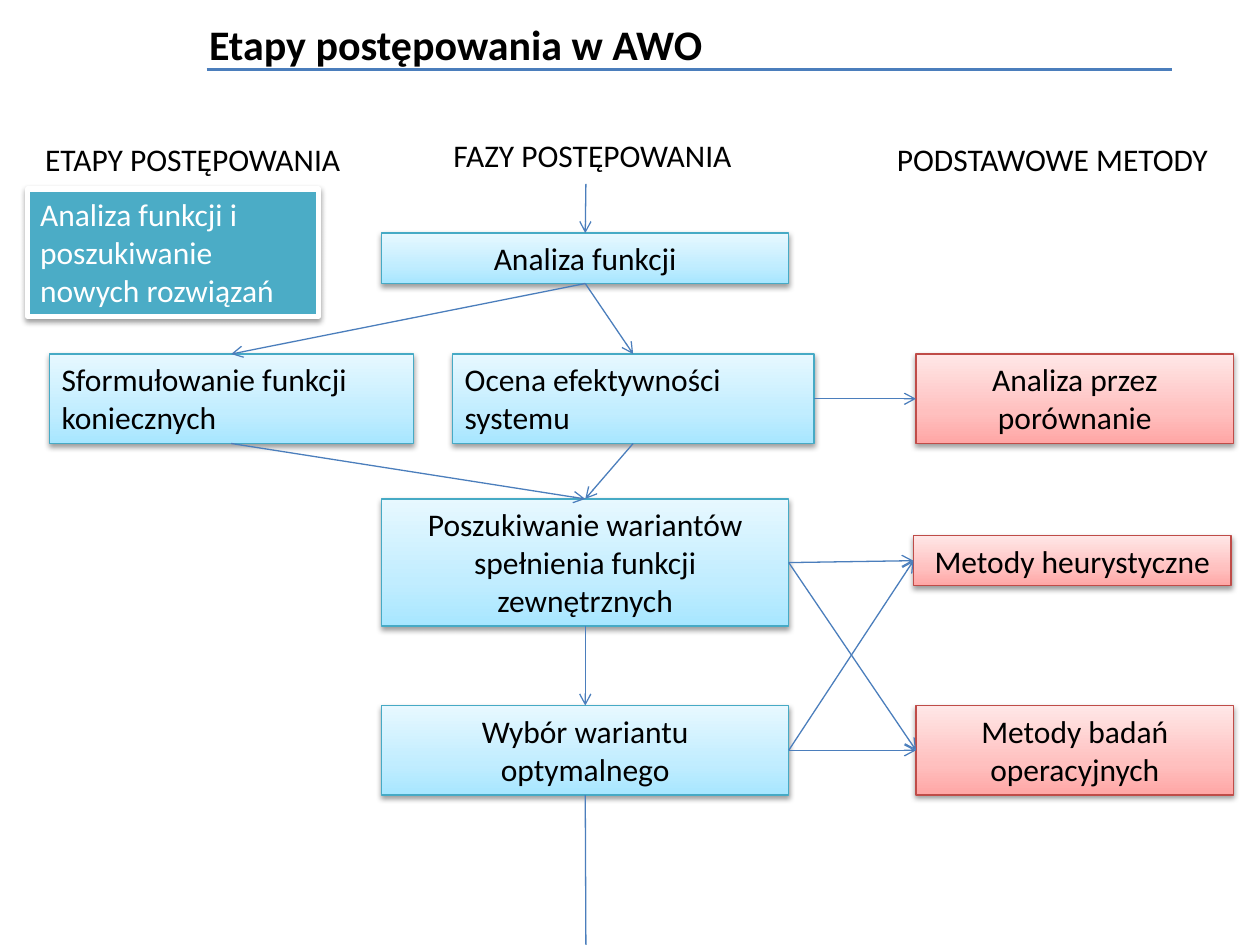
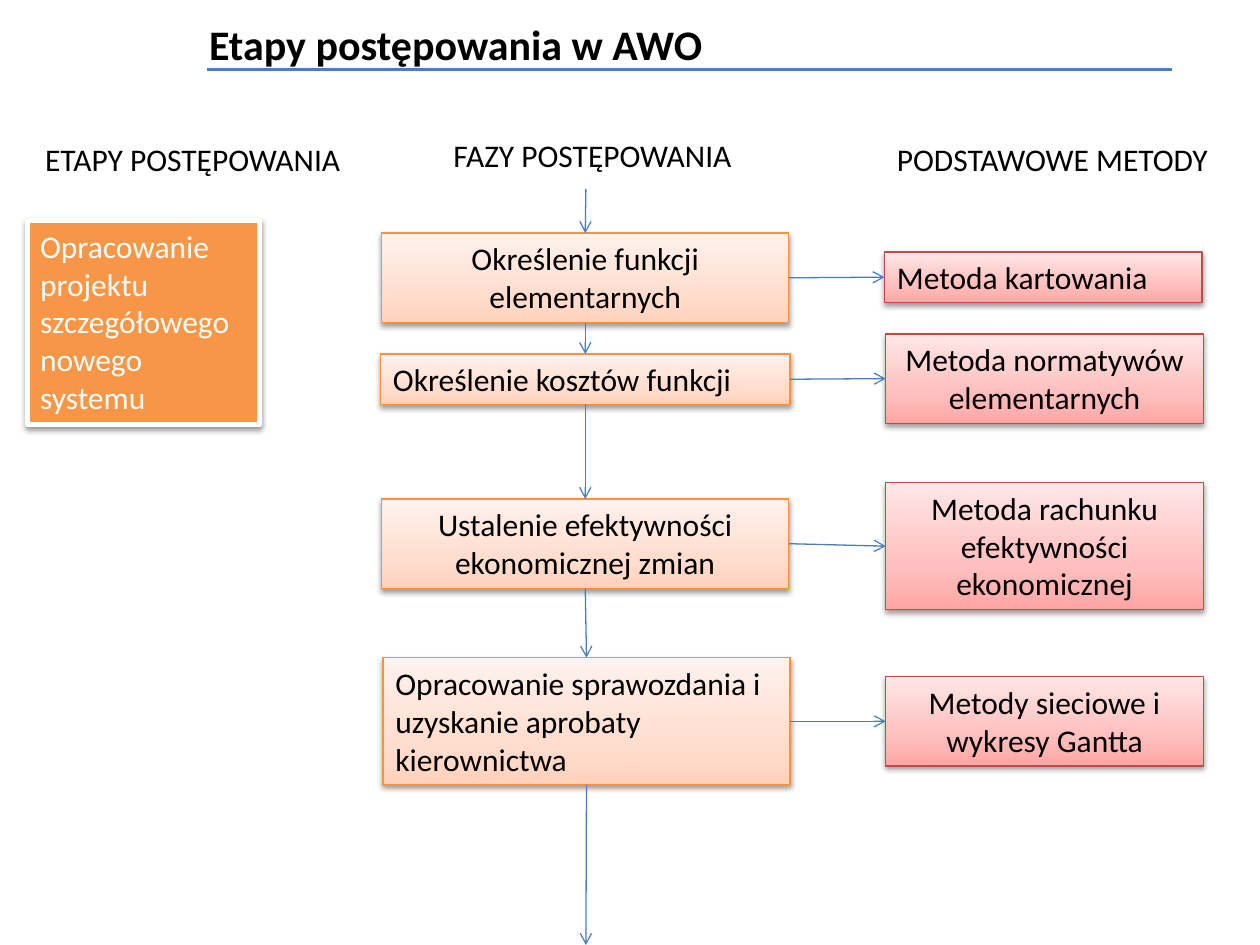
from copy import deepcopy

from lxml.etree import SubElement
from pptx import Presentation
from pptx.dml.color import RGBColor
from pptx.enum.shapes import MSO_CONNECTOR, MSO_SHAPE
from pptx.enum.text import MSO_ANCHOR, MSO_AUTO_SIZE, PP_ALIGN
from pptx.oxml.ns import qn
from pptx.util import Inches, Pt

FONT = "Calibri"
BLACK = RGBColor(0x00, 0x00, 0x00)
WHITE = RGBColor(0xFF, 0xFF, 0xFF)
LINE_BLUE = RGBColor(0x4B, 0x7E, 0xBC)
TEAL = RGBColor(0x4B, 0xAC, 0xC6)
ORANGE = RGBColor(0xF7, 0x96, 0x46)

# Each style: outline colour, then gradient colours from bottom to top
BLUE_BOX = (RGBColor(0x46, 0xAA, 0xC5), RGBColor(0xA7, 0xE6, 0xFF),
            RGBColor(0xC1, 0xED, 0xFF), RGBColor(0xE7, 0xF8, 0xFF))
ORANGE_BOX = (RGBColor(0xF6, 0x92, 0x40), RGBColor(0xFF, 0xD2, 0xBD),
              RGBColor(0xFF, 0xDE, 0xD0), RGBColor(0xFF, 0xF2, 0xED))
RED_BOX = (RGBColor(0xBF, 0x4C, 0x48), RGBColor(0xFF, 0xA6, 0xA5),
           RGBColor(0xFF, 0xC0, 0xBF), RGBColor(0xFF, 0xE7, 0xE7))
GRADIENT_POSITIONS = (0, 0.35, 1)

HEIGHT_BY_LINES = {1: 0.4, 2: 0.71, 3: 1.01, 5: 1.62}
TOP, LEFT, BOTTOM, RIGHT = range(4)
FLOW_X = 4.65
CENTER = PP_ALIGN.CENTER
METHOD_WIDTH = 2.52
PHASE_WIDTH = 3.23


def add_text(slide, text, left, top, width, lines=1, align=PP_ALIGN.LEFT,
             color=BLACK, solid=None, style=None):
    """Add a heading, or a shadowed box when a solid fill or a style is given."""
    bounds = [Inches(n) for n in (left, top, width, HEIGHT_BY_LINES[lines])]
    if solid or style:
        shape = slide.shapes.add_shape(MSO_SHAPE.RECTANGLE, *bounds)
        shape.shadow.inherit = False
        properties = shape._element.spPr
        shadow = SubElement(properties.find(qn("a:effectLst")), qn("a:outerShdw"),
                            blurRad="40000", dist="20000", dir="5400000", rotWithShape="0")
        shadow_color = SubElement(shadow, qn("a:srgbClr"), val="000000")
        SubElement(shadow_color, qn("a:alpha"), val="38000")
    else:
        shape = slide.shapes.add_textbox(*bounds)
    if solid:
        shape.fill.solid()
        shape.fill.fore_color.rgb = solid
        shape.line.color.rgb = WHITE
        shape.line.width = Pt(3)
    elif style:
        outline, *gradient = style
        shape.fill.gradient()
        shape.fill.gradient_angle = 90
        stop_list = properties.find(".//" + qn("a:gsLst"))
        stop_list.append(deepcopy(stop_list[0]))
        for stop, position, stop_color in zip(shape.fill.gradient_stops,
                                              GRADIENT_POSITIONS, gradient):
            stop.position = position
            stop.color.rgb = stop_color
        shape.line.color.rgb = outline
        shape.line.width = Pt(0.75)
    frame = shape.text_frame
    frame.word_wrap = True
    frame.auto_size = MSO_AUTO_SIZE.SHAPE_TO_FIT_TEXT
    frame.vertical_anchor = MSO_ANCHOR.TOP
    paragraph = frame.paragraphs[0]
    paragraph.alignment = align
    run = paragraph.add_run()
    run.text = text
    run.font.name = FONT
    run.font.size = Pt(18)
    run.font.color.rgb = color
    return shape


def add_line(slide, start=(0, 0), end=(0, 0), source=None, target=None,
             width=0.75, arrow=True):
    """Draw between points; source and target are (shape, side) joints that replace them."""
    line = slide.shapes.add_connector(MSO_CONNECTOR.STRAIGHT,
                                      *[Inches(n) for n in (*start, *end)])
    if source:
        line.begin_connect(*source)
    if target:
        line.end_connect(*target)
    line.line.color.rgb = LINE_BLUE
    line.line.width = Pt(width)
    if arrow:
        SubElement(line.line._get_or_add_ln(), qn("a:tailEnd"), type="arrow")
    SubElement(line._element.spPr, qn("a:effectLst"))


HEADINGS = [("ETAPY POSTĘPOWANIA", 0.26, 1.06), ("FAZY POSTĘPOWANIA", 3.5, 1.03),
            ("PODSTAWOWE METODY", 7.02, 1.06)]

# Stage: text, left, top, width, lines, fill
# Boxes: key, text, left, top, width, lines, alignment, style
# Links: source key, source side, target key, target side
PAGES = [
    {
        "stage": ("Analiza funkcji i poszukiwanie nowych rozwiązań", 0.22, 1.5, 2.31, 3, TEAL),
        "boxes": [
            ("analysis", "Analiza funkcji", 3.03, 1.85, PHASE_WIDTH, 1, CENTER, BLUE_BOX),
            ("needed", "Sformułowanie funkcji koniecznych",
             0.39, 2.81, 2.89, 2, PP_ALIGN.LEFT, BLUE_BOX),
            ("rating", "Ocena efektywności systemu",
             3.59, 2.81, 2.87, 2, PP_ALIGN.LEFT, BLUE_BOX),
            ("variants", "Poszukiwanie wariantów spełnienia funkcji zewnętrznych",
             3.03, 3.96, PHASE_WIDTH, 3, CENTER, BLUE_BOX),
            ("choice", "Wybór wariantu optymalnego",
             3.03, 5.6, PHASE_WIDTH, 2, CENTER, BLUE_BOX),
            ("comparison", "Analiza przez porównanie",
             7.27, 2.81, METHOD_WIDTH, 2, CENTER, RED_BOX),
            ("heuristics", "Metody heurystyczne",
             7.25, 4.25, METHOD_WIDTH, 1, CENTER, RED_BOX),
            ("operations", "Metody badań operacyjnych",
             7.27, 5.6, METHOD_WIDTH, 2, CENTER, RED_BOX),
        ],
        "links": [
            ("analysis", BOTTOM, "needed", TOP),
            ("analysis", BOTTOM, "rating", TOP),
            ("needed", BOTTOM, "variants", TOP),
            ("rating", BOTTOM, "variants", TOP),
            ("variants", BOTTOM, "choice", TOP),
            ("rating", RIGHT, "comparison", LEFT),
            ("variants", RIGHT, "heuristics", LEFT),
            ("variants", RIGHT, "operations", LEFT),
            ("choice", RIGHT, "heuristics", LEFT),
            ("choice", RIGHT, "operations", LEFT),
        ],
        "first": "analysis", "last": "choice", "entry_top": 1.46, "exit_arrow": False,
    },
    {
        "stage": ("Opracowanie projektu szczegółowego nowego systemu",
                  0.22, 1.75, 1.84, 5, ORANGE),
        "boxes": [
            ("elements", "Określenie funkcji elementarnych",
             3.03, 1.85, PHASE_WIDTH, 2, CENTER, ORANGE_BOX),
            ("costs", "Określenie kosztów funkcji",
             3.02, 2.81, 3.25, 1, PP_ALIGN.LEFT, ORANGE_BOX),
            ("economy", "Ustalenie efektywności ekonomicznej zmian",
             3.03, 3.96, PHASE_WIDTH, 2, CENTER, ORANGE_BOX),
            ("report", "Opracowanie sprawozdania i uzyskanie aprobaty kierownictwa",
             3.04, 5.22, PHASE_WIDTH, 3, PP_ALIGN.LEFT, ORANGE_BOX),
            ("charting", "Metoda kartowania",
             7.02, 2, METHOD_WIDTH, 1, PP_ALIGN.LEFT, RED_BOX),
            ("norms", "Metoda normatywów elementarnych",
             7.03, 2.65, METHOD_WIDTH, 2, CENTER, RED_BOX),
            ("account", "Metoda rachunku efektywności ekonomicznej",
             7.03, 3.83, METHOD_WIDTH, 3, CENTER, RED_BOX),
            ("network", "Metody sieciowe i wykresy Gantta",
             7.03, 5.37, METHOD_WIDTH, 2, CENTER, RED_BOX),
        ],
        "links": [
            ("elements", BOTTOM, "costs", TOP),
            ("costs", BOTTOM, "economy", TOP),
            ("economy", BOTTOM, "report", TOP),
            ("elements", RIGHT, "charting", LEFT),
            ("costs", RIGHT, "norms", LEFT),
            ("economy", RIGHT, "account", LEFT),
            ("report", RIGHT, "network", LEFT),
        ],
        "first": "elements", "last": "report", "entry_top": 1.5, "exit_arrow": True,
    },
]

presentation = Presentation()
presentation.slide_width = Inches(10)
presentation.slide_height = Inches(7.5)
title_only = presentation.slide_layouts[5]

for page in PAGES:
    slide = presentation.slides.add_slide(title_only)
    title = slide.shapes.title
    title.left, title.top, title.width, title.height = (
        Inches(n) for n in (1.56, 0, 7.91, 0.7))
    title.text_frame.text = "Etapy postępowania w AWO"
    title.text_frame.auto_size = MSO_AUTO_SIZE.NONE
    title.text_frame.vertical_anchor = MSO_ANCHOR.MIDDLE
    paragraph = title.text_frame.paragraphs[0]
    paragraph.alignment = PP_ALIGN.LEFT
    paragraph.font.name = FONT
    paragraph.font.size = Pt(24)
    paragraph.font.bold = True
    paragraph.font.color.rgb = BLACK
    add_line(slide, (1.64, 0.55), (9.3, 0.55), width=2, arrow=False)

    for text, left, top in HEADINGS:
        add_text(slide, text, left, top, 2.76)

    *stage, stage_fill = page["stage"]
    add_text(slide, *stage, color=WHITE, solid=stage_fill)

    boxes = {}
    for key, text, left, top, width, lines, align, style in page["boxes"]:
        boxes[key] = add_text(slide, text, left, top, width, lines, align, style=style)

    for source, source_side, target, target_side in page["links"]:
        add_line(slide, source=(boxes[source], source_side),
                 target=(boxes[target], target_side))
    add_line(slide, start=(FLOW_X, page["entry_top"]), target=(boxes[page["first"]], TOP))
    add_line(slide, end=(FLOW_X, 7.5), source=(boxes[page["last"]], BOTTOM),
             arrow=page["exit_arrow"])

presentation.save("out.pptx")
